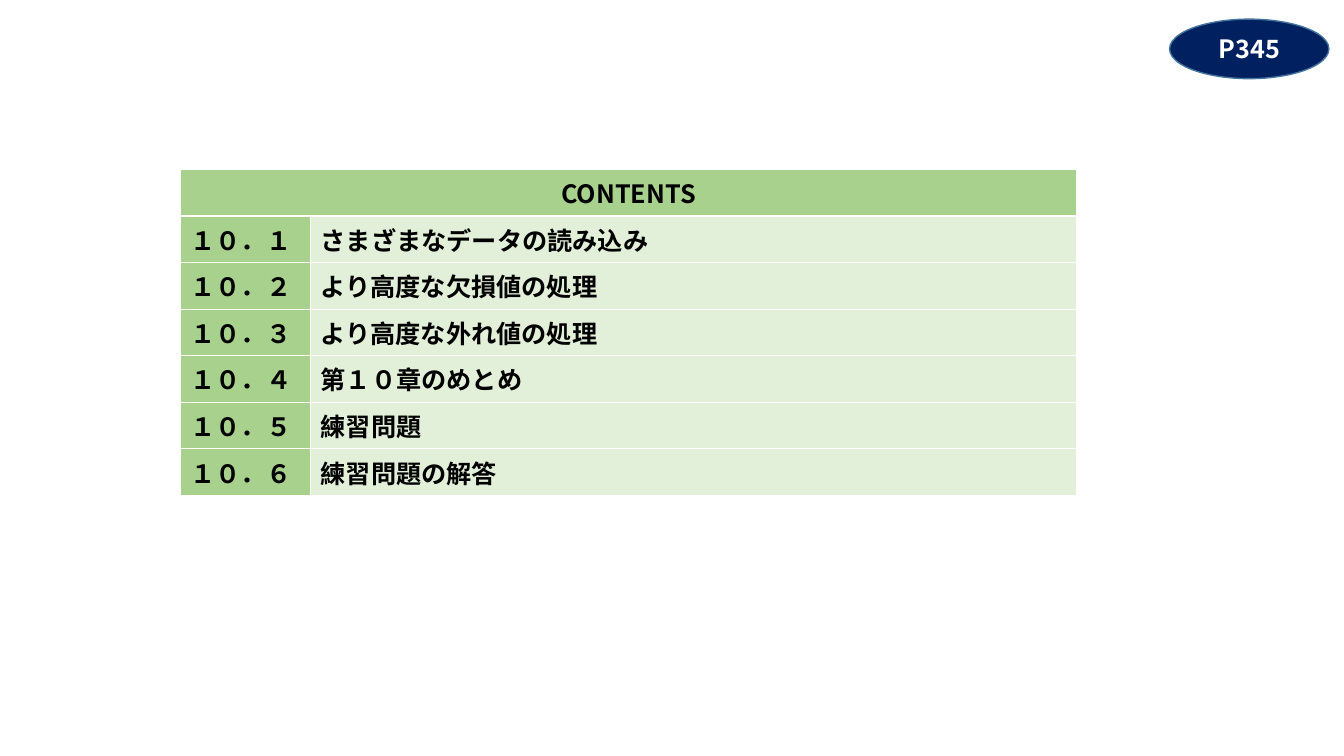
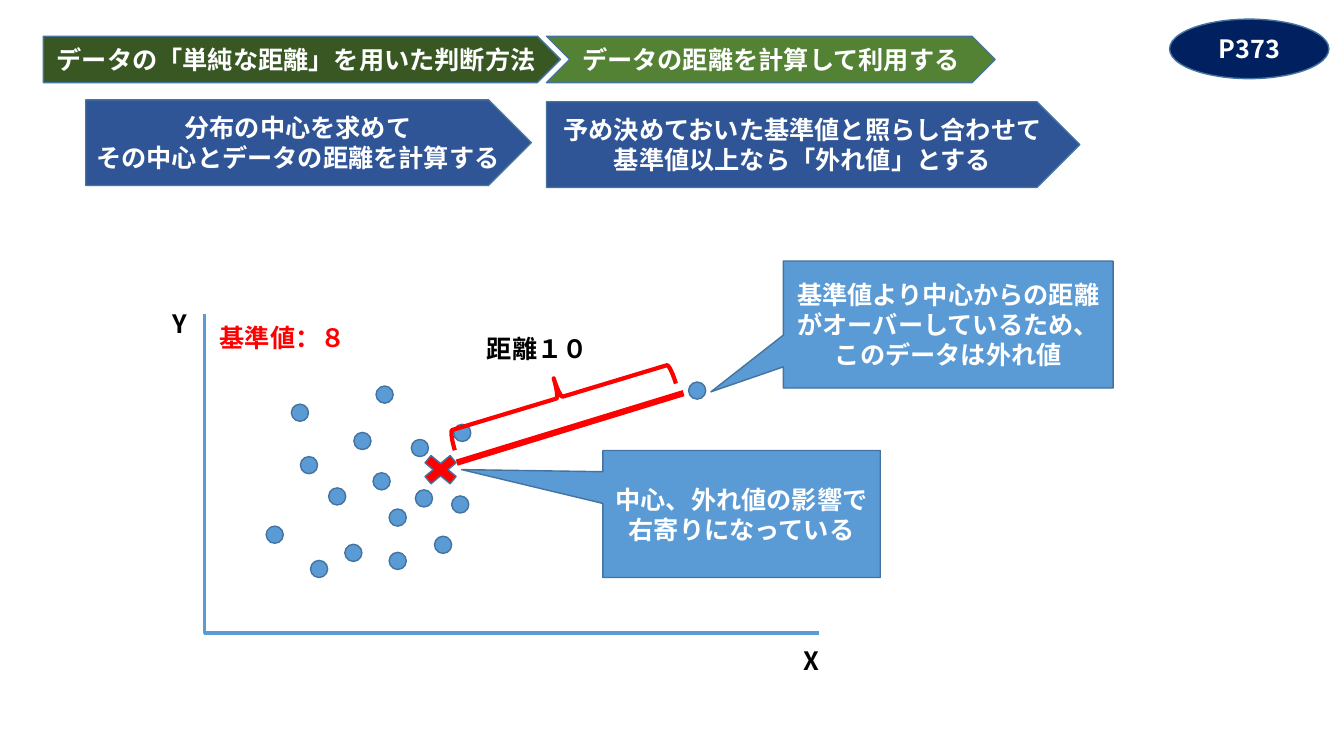
from lxml import etree
from pptx import Presentation, util as u
from pptx.dml.color import RGBColor
from pptx.enum import shapes, text
from pptx.oxml.ns import qn

KIND = shapes.MSO_SHAPE
LINK = shapes.MSO_CONNECTOR
CELL = 0.1  # inches; every length below counts grid cells
FONT = "Noto Sans CJK JP"
HUE = {
    "navy": "002060", "edge": "43739E", "blue": "5B9BD5", "deep": "2F5597",
    "pine": "385723", "leaf": "548235", "lime": "A9D18E", "pale": "E2F0D9",
    "red": "FF0000", "white": "FFFFFF", "black": "000000",
}
STYLE = {"size": u.Pt(18), "bold": True, "name": FONT}
MID = text.PP_ALIGN.CENTER

ROWS = [
    ("１０．１", "さまざまなデータの読み込み"),
    ("１０．２", "より高度な欠損値の処理"),
    ("１０．３", "より高度な外れ値の処理"),
    ("１０．４", "第１０章のめとめ"),
    ("１０．５", "練習問題"),
    ("１０．６", "練習問題の解答"),
]
STEPS = [
    (KIND.PENTAGON, "pine", (0, 0, 51.3, 4.6), "データの「単純な距離」を用いた判断方法"),
    (KIND.CHEVRON, "leaf", (49.9, 0, 44.5, 4.6), "データの距離を計算して利用する"),
    (KIND.PENTAGON, "deep", (4.2, 6.3, 44.2, 8.5),
     "分布の中心を求めて\nその中心とデータの距離を計算する"),
    (KIND.PENTAGON, "deep", (49.9, 6.5, 52.9, 8.5),
     "予め決めておいた基準値と照らし合わせて基準値以上なら「外れ値」とする"),
]
DOTS = [
    (6.1, 21), (9.5, 14.1), (16.7, 15.7), (17, 7.1), (12.3, 17.2), (18.3, 19.3),
    (24.5, 18), (14.8, 11.7), (13.9, 22.8), (8.6, 8.9), (20.5, 12.4), (10.5, 24.4),
    (18.3, 23.6), (20.9, 17.4), (22.8, 22), (24.7, 10.9), (48, 6.7),
]
NOTES = [
    ((57.4, -5.3, 32.7, 12.6), (-0.72, 0.53),
     "基準値より中心からの距離がオーバーしているため、このデータは外れ値"),
    ((39.5, 13.5, 27.5, 12.6), (-1.01, -0.35), "中心、外れ値の影響で右寄りになっている"),
]
TAGS = [
    ((27, 1.4, 13.2, 4), "black", "距離１０"),
    ((-4.2, -1.1, 5, 4), "black", "Y"),
    ((58.4, 32.3, 5, 4), "black", "X"),
    ((0.5, 0.3, 22.5, 4), "red", "基準値：８"),
]


def rgb(hue):
    return RGBColor.from_string(HUE[hue])


def grid(*cells):
    return [u.Inches(n * CELL) for n in cells]


def inside(box, part):
    """Move a part from its region's corner to the slide's grid."""
    return (box[0] + part[0], box[1] + part[1], *part[2:])


def write(frame, words, hue, align=None):
    frame.text = words
    for para in frame.paragraphs:
        para.alignment = align
        for run in para.runs:
            for key, val in STYLE.items():
                setattr(run.font, key, val)
            run.font.color.rgb = rgb(hue)
            east = etree.SubElement(run.font._element, qn("a:ea"))
            east.set("typeface", FONT)


def shape(slide, kind, box, fill, words="", line="edge", width=1):
    item = slide.shapes.add_shape(kind, *grid(*box))
    item.shadow.inherit = False
    if fill:
        item.fill.solid()
        item.fill.fore_color.rgb = rgb(fill)
    else:
        item.fill.background()
    item.line.color.rgb = rgb(line)
    item.line.width = u.Pt(width)
    if words:
        frame = item.text_frame
        frame.word_wrap = True
        frame.vertical_anchor = text.MSO_ANCHOR.MIDDLE
        write(frame, words, "white", MID)
    return item


def label(slide, box, hue, words):
    frame = slide.shapes.add_textbox(*grid(*box)).text_frame
    frame.word_wrap = True
    frame.auto_size = text.MSO_AUTO_SIZE.SHAPE_TO_FIT_TEXT
    write(frame, words, hue)


def link(slide, kind, ends, hue, width):
    item = slide.shapes.add_connector(kind, *grid(*ends))
    item.line.color.rgb = rgb(hue)
    item.line.width = u.Pt(width)
    etree.SubElement(item._element.spPr, qn("a:effectLst"))
    return item


def badge(slide, words):
    shape(slide, KIND.OVAL, (116, 1.9, 15.8, 5.9), "navy", words)


def border(cell, hue, width):
    props = cell._tc.get_or_add_tcPr()
    for spot, side in enumerate(("lnL", "lnR", "lnT", "lnB")):
        edge = etree.Element(qn("a:" + side), w=str(u.Pt(width)))
        fill = etree.SubElement(edge, qn("a:solidFill"))
        etree.SubElement(fill, qn("a:srgbClr"), val=HUE[hue])
        props.insert(spot, edge)


def index(slide, box):
    """Contents table: a merged heading over numbered rows."""
    left, top, wide, high = box
    count = len(ROWS) + 1
    table = slide.shapes.add_table(count, 2, *grid(left, top, wide, high)).table
    first = 12.9
    for col, size in zip(table.columns, grid(first, wide - first)):
        col.width = size
    for row in table.rows:
        row.height = u.Inches(high * CELL / count)
    for r, pair in enumerate([("CONTENTS", "")] + ROWS):
        for c, words in enumerate(pair):
            cell = table.cell(r, c)
            cell.fill.solid()
            cell.fill.fore_color.rgb = rgb("pale" if r and c else "lime")
            border(cell, "white", 1)
            write(cell.text_frame, words, "black", None if r else MID)
    table.cell(0, 0).merge(table.cell(0, 1))


def banner(slide, box):
    for kind, hue, part, words in STEPS:
        shape(slide, kind, inside(box, part), hue, words)


def axes(slide, box):
    """Draw both axes as one elbow that turns at the lower left."""
    left, top, wide, high = box
    item = link(slide, LINK.ELBOW, (left, top, left + wide, top + high), "blue", 2.25)
    turn = item._element.spPr.find(qn("a:prstGeom"))
    marks = turn.find(qn("a:avLst"))
    if marks is None:
        marks = etree.SubElement(turn, qn("a:avLst"))
    etree.SubElement(marks, qn("a:gd"), name="adj1", fmla="val 0")


def plot(slide, box):
    """Scatter sketch with its centre, the outlier and their distance."""
    axes(slide, box)
    for dot in DOTS:
        shape(slide, KIND.FLOWCHART_CONNECTOR, inside(box, (*dot, 1.7, 1.7)), "blue")
    ends = inside(box, (25, 14.7)) + inside(box, (47.5, 7.8))
    link(slide, LINK.STRAIGHT, ends, "red", 4.5)
    shape(slide, KIND.MATH_MULTIPLY, inside(box, (21, 13.4, 4.8, 4)), "red")
    brace = shape(slide, KIND.LEFT_BRACE, inside(box, (33.2, -3.2, 4, 22.9)),
                  None, line="red", width=3)
    brace.rotation = 73.2
    for part, tip, words in NOTES:
        note = shape(slide, KIND.RECTANGULAR_CALLOUT, inside(box, part), "blue", words)
        for spot, val in enumerate(tip):
            note.adjustments[spot] = val
    for part, hue, words in TAGS:
        label(slide, inside(box, part), hue, words)


def main():
    deck = Presentation()
    deck.slide_width, deck.slide_height = u.Inches(13.33), u.Inches(7.5)
    pages = [
        ("P345", [(index, (17.9, 16.8, 88.9, 28.4))]),
        ("P373", [(plot, (20.3, 31.2, 60.9, 31.6)), (banner, (4.3, 3.6))]),
    ]
    for page, parts in pages:
        slide = deck.slides.add_slide(deck.slide_layouts[6])
        for draw, box in parts:
            draw(slide, box)
        badge(slide, page)
    deck.save("out.pptx")


if __name__ == "__main__":
    main()
